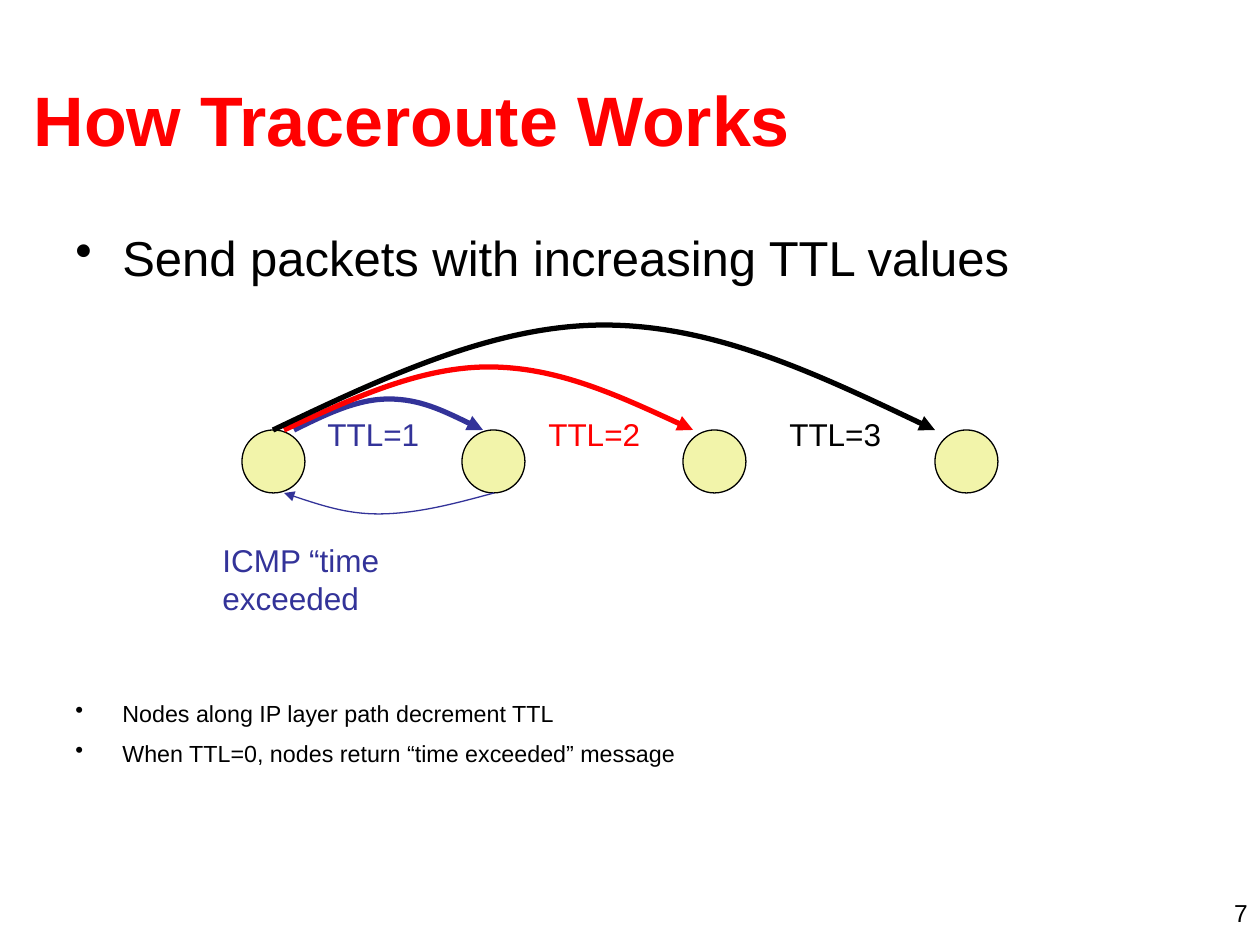
from dataclasses import dataclass

from lxml import etree
from pptx import Presentation
from pptx.dml.color import RGBColor
from pptx.enum.shapes import MSO_SHAPE
from pptx.enum.text import MSO_ANCHOR, PP_ALIGN
from pptx.oxml.ns import qn
from pptx.util import Pt

OVAL = MSO_SHAPE.OVAL
MIDDLE, TOP = MSO_ANCHOR.MIDDLE, MSO_ANCHOR.TOP
LEFT, RIGHT = PP_ALIGN.LEFT, PP_ALIGN.RIGHT
PIXELS_PER_INCH = 126
TITLE_ONLY = 5


@dataclass(frozen=True)
class Theme:
    font: str = "Arial"
    black: RGBColor = RGBColor(0, 0, 0)
    red: RGBColor = RGBColor(255, 0, 0)
    blue: RGBColor = RGBColor(0x33, 0x33, 0x99)
    node: RGBColor = RGBColor(0xF2, 0xF4, 0xAA)
    title_size: float = 40
    lead_size: float = 28
    label_size: float = 18
    number_size: float = 14
    detail_size: float = 13.3
    thick: float = 3
    thin: float = 0.75


THEME = Theme()


def px(length):
    return round(length * 914400 / PIXELS_PER_INCH)


def place(shape, box):
    shape.left, shape.top, shape.width, shape.height = map(px, box)


def write(shape, lines, size, color, space=0, align=LEFT, anchor=TOP, bold=False):
    frame = shape.text_frame
    frame.word_wrap = True
    frame.vertical_anchor = anchor
    frame.text = "\n".join(lines)
    for paragraph in frame.paragraphs:
        paragraph.alignment = align
        paragraph.space_before = Pt(space)
        font = paragraph.runs[0].font
        font.name = THEME.font
        font.size = Pt(size)
        font.bold = bold
        font.color.rgb = color


def add_text(slide, box, lines, size, color, **options):
    shape = slide.shapes.add_textbox(*map(px, box))
    write(shape, lines, size, color, **options)
    return shape


def add_title(slide, box, text):
    title = slide.shapes.title
    place(title, box)
    write(title, [text], THEME.title_size, THEME.red, anchor=MIDDLE, bold=True)


def add_bullets(slide, box, lines, size):
    shape = add_text(slide, box, lines, size, THEME.black, space=7)
    for paragraph in shape.text_frame.paragraphs:
        properties = paragraph._p.get_or_add_pPr()
        properties.set("marL", str(px(47)))
        properties.set("indent", str(-px(47)))
        etree.SubElement(properties, qn("a:buChar")).set("char", "•")


def add_arc(slide, start, apex, end, color, width):
    def controls(foot):
        run, rise = apex[0] - foot[0], apex[1] - foot[1]
        return [(foot[0] + run / 3, foot[1] + rise / 2), (foot[0] + run * 2 / 3, apex[1])]

    points = controls(start) + [apex] + controls(end)[::-1] + [end]
    builder = slide.shapes.build_freeform(px(start[0]), px(start[1]))
    builder.add_line_segments([(px(x), px(y)) for x, y in points], close=False)
    shape = builder.convert_to_shape()
    segments = list(shape._element.iter(qn("a:lnTo")))
    outline = segments[0].getparent()
    for first in range(0, len(segments), 3):
        curve = etree.SubElement(outline, qn("a:cubicBezTo"))
        for segment in segments[first:first + 3]:
            curve.append(segment[0])
            outline.remove(segment)
    shape.shadow.inherit = False
    shape.fill.background()
    shape.line.color.rgb = color
    shape.line.width = Pt(width)
    etree.SubElement(shape.line._get_or_add_ln(), qn("a:tailEnd")).set("type", "triangle")


def add_node(slide, box):
    node = slide.shapes.add_shape(OVAL, *map(px, box))
    node.shadow.inherit = False
    node.fill.solid()
    node.fill.fore_color.rgb = THEME.node
    node.line.color.rgb = THEME.black
    node.line.width = Pt(THEME.thin)


def add_hop_diagram(slide, box):
    left, top, width, height = box
    diameter = 63
    node_top = top + 105
    node_bottom = node_top + diameter
    for offset in (0, 220, 441, 693):
        add_node(slide, (left + offset, node_top, diameter, diameter))

    hops = (
        (52, 241, 31, 73, THEME.blue),
        (42, 451, 63, 294, THEME.red),
        (31, 693, 105, 535, THEME.black),
    )
    for number, (start, end, rise, label, color) in enumerate(hops, 1):
        apex = (left + (start + end) / 2, node_top - rise)
        add_arc(slide, (left + start, node_top), apex, (left + end, node_top), color, THEME.thick)
        label_box = (left + label, node_top - 21, 136, 50)
        add_text(slide, label_box, [f"TTL={number}"], THEME.label_size, color, space=11.2)

    add_arc(slide, (left + 252, node_bottom), (left + 136, node_bottom + 21),
            (left + 42, node_bottom), THEME.blue, THEME.thin)
    add_text(slide, (left - 32, top + height - 88, 210, 88), ["ICMP “time exceeded"],
             THEME.label_size, THEME.blue, space=11.2)


def main():
    presentation = Presentation()
    presentation.slide_width = px(1260)
    presentation.slide_height = px(945)
    slide = presentation.slides.add_slide(presentation.slide_layouts[TITLE_ONLY])
    add_title(slide, (21, 40, 1207, 158), "How Traceroute Works")
    add_bullets(slide, (63, 221, 1134, 84), ["Send packets with increasing TTL values"],
                THEME.lead_size)
    add_hop_diagram(slide, (242, 325, 756, 298))
    add_bullets(slide, (63, 693, 1197, 84), [
        "Nodes along IP layer path decrement TTL",
        "When TTL=0, nodes return “time exceeded” message",
    ], THEME.detail_size)
    add_text(slide, (966, 892, 294, 32), ["7"], THEME.number_size, THEME.black, align=RIGHT)
    presentation.save("out.pptx")


if __name__ == "__main__":
    main()
